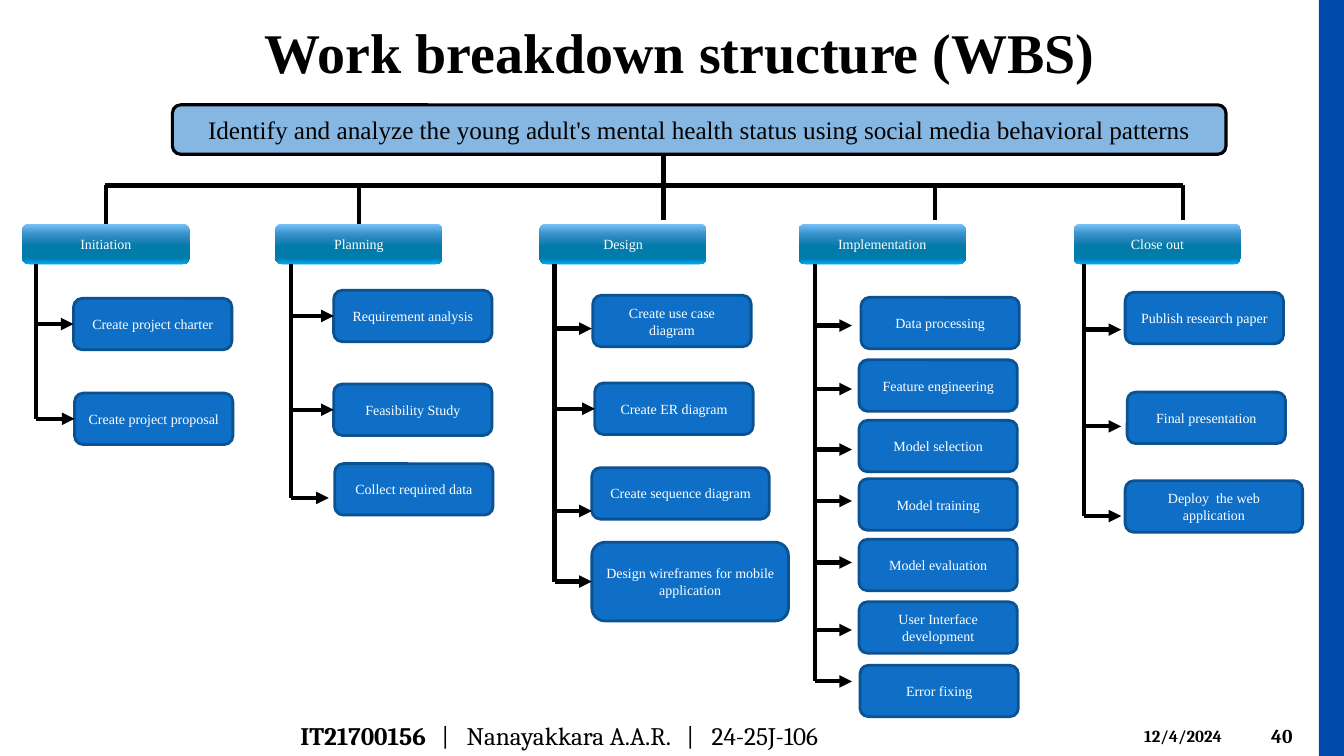
from dataclasses import dataclass
from typing import NamedTuple

from lxml import etree
from pptx import Presentation
from pptx.dml.color import RGBColor
from pptx.enum.shapes import MSO_CONNECTOR, MSO_SHAPE
from pptx.enum.text import MSO_ANCHOR, PP_ALIGN
from pptx.oxml.ns import qn
from pptx.util import Inches, Pt

RECTANGLE, ROUNDED = MSO_SHAPE.RECTANGLE, MSO_SHAPE.ROUNDED_RECTANGLE
STRAIGHT = MSO_CONNECTOR.STRAIGHT
LEFT, CENTER = PP_ALIGN.LEFT, PP_ALIGN.CENTER
MIDDLE = MSO_ANCHOR.MIDDLE
TOP_SIDE, LEFT_SIDE = 0, 1

SLIDE_WIDTH, SLIDE_HEIGHT = Inches(13.33), Inches(7.5)
COLUMNS, ROWS = 133.3, 75
JOIN_REACH = 0.6
ARROW_LENGTH = 3.7
PHASE_WIDTH, PHASE_HEIGHT = 16.6, 4
BUS_ROW, DROP_END = 18.4, 21.8


@dataclass(frozen=True)
class Theme:
    black: str = "000000"
    white: str = "FFFFFF"
    bar: str = "004AAD"
    task: str = "0F6FC6"
    task_edge: str = "0B5292"
    phase_stops: tuple = ((0, "7BC0F9"), (25, "3694CA"), (38, "2685BA"), (55, "007BAA"),
                          (80, "007AA9"), (88, "0080B2"), (100, "00ABFC"))
    body: str = "Times New Roman"
    footer: str = "Cambria"
    title_size: int = 40
    lead_size: int = 18
    number_size: int = 14
    date_size: int = 12
    box_size: int = 10
    banner_edge: float = 2.25
    task_edge_width: float = 2
    line_width: float = 3


THEME = Theme()


class Area(NamedTuple):
    left: float
    top: float
    width: float
    height: float


class Task(NamedTuple):
    label: str
    left: float
    top: float
    arrow: float
    width: float = 15.7
    height: float = 5.1


class Phase(NamedTuple):
    label: str
    left: float
    drop: float
    trunk: float
    tasks: tuple


PHASES = (
    Phase("Initiation", 2.2, 10.4, 3.6, (
        Task("Create project charter", 7.3, 29.6, 32.7),
        Task("Create project proposal", 7.4, 39, 41.1))),
    Phase("Planning", 27.3, 35.5, 28.9, (
        Task("Requirement analysis", 33.1, 28.8, 31.7),
        Task("Feasibility Study", 33.1, 38.1, 40.5),
        Task("Collect required data", 33.2, 46, 49.4))),
    Phase("Design", 53.5, 65.8, 55, (
        Task("Create use case diagram", 58.8, 29.3, 32.6),
        Task("Create ER diagram", 59, 38, 40.5),
        Task("Create sequence diagram", 58.7, 46.4, 50.7, 17.6),
        Task("Design wireframes for mobile application", 58.7, 53.8, 57.6, 19.5, 7.8))),
    Phase("Implementation", 79.2, 92.7, 80.8, (
        Task("Data processing", 85.4, 29.5, 32.3),
        Task("Feature engineering", 85.2, 35.7, 38.6),
        Task("Model selection", 85.2, 41.7, 44.6),
        Task("Model training", 85.2, 47.5, 49.7),
        Task("Model evaluation", 85.2, 53.5, 55.8),
        Task("User Interface development", 85.2, 59.7, 62.5),
        Task("Error fixing", 85.3, 66, 67.6))),
    Phase("Close out", 106.5, 117.3, 107.5, (
        Task("Publish research paper", 111.6, 29, 32.7),
        Task("Final presentation", 111.8, 38.9, 42.3),
        Task("Deploy  the web application", 111.6, 47.7, 51.2, 17.6))),
)


def across(columns: float) -> int:
    return round(SLIDE_WIDTH * columns / COLUMNS)


def down(rows: float) -> int:
    return round(SLIDE_HEIGHT * rows / ROWS)


def on_grid(area: Area) -> tuple:
    return across(area.left), down(area.top), across(area.width), down(area.height)


def write(paragraph, text: str, size: int, color: str, face: str = THEME.body, bold: bool = False) -> None:
    run = paragraph.add_run()
    run.text = text
    for attribute, value in {"name": face, "size": Pt(size), "bold": bold}.items():
        setattr(run.font, attribute, value)
    run.font.color.rgb = RGBColor.from_string(color)


def first_paragraph(shape, align=CENTER):
    """Set up the shape's text frame and return its opening paragraph."""
    frame = shape.text_frame
    for attribute, value in {"word_wrap": True, "vertical_anchor": MIDDLE}.items():
        setattr(frame, attribute, value)
    frame.paragraphs[0].alignment = align
    return frame.paragraphs[0]


def add_box(slide, area: Area, fill: str, kind=ROUNDED, edge: str = "", edge_width: float = 0):
    box = slide.shapes.add_shape(kind, *on_grid(area))
    box.shadow.inherit = False
    box.fill.solid()
    box.fill.fore_color.rgb = RGBColor.from_string(fill)
    if edge:
        box.line.color.rgb = RGBColor.from_string(edge)
        box.line.width = Pt(edge_width)
    else:
        box.line.fill.background()
    return box


def shade(box) -> None:
    """Give the box the phase gradient, running from top to bottom."""
    box.fill.gradient()
    box.fill.gradient_angle = 270
    stops = box._element.spPr.find(qn("a:gradFill")).find(qn("a:gsLst"))
    for stop in list(stops):
        stops.remove(stop)
    for percent, color in THEME.phase_stops:
        stop = etree.SubElement(stops, qn("a:gs"), pos=str(percent * 1000))
        etree.SubElement(stop, qn("a:srgbClr"), val=color)


def add_line(slide, x1: float, y1: float, x2: float, y2: float, arrow: bool = False):
    line = slide.shapes.add_connector(STRAIGHT, across(x1), down(y1), across(x2), down(y2))
    line.line.color.rgb = RGBColor.from_string(THEME.black)
    line.line.width = Pt(THEME.line_width)
    if arrow:
        etree.SubElement(line.line._get_or_add_ln(), qn("a:tailEnd"), type="triangle")
    etree.SubElement(line._element.spPr, qn("a:effectLst"))
    return line


def add_phase(slide, phase: Phase) -> None:
    heading = add_box(slide, Area(phase.left, 22.2, PHASE_WIDTH, PHASE_HEIGHT), THEME.task)
    shade(heading)
    write(first_paragraph(heading), phase.label, THEME.box_size, THEME.white)

    middle = phase.left + PHASE_WIDTH / 2
    joins = abs(phase.drop - middle) <= JOIN_REACH
    column = middle if joins else phase.drop
    drop = add_line(slide, column, BUS_ROW, column, DROP_END)
    if joins:
        drop.end_connect(heading, TOP_SIDE)

    row = BUS_ROW
    for task in phase.tasks:
        row = add_task(slide, task, phase.trunk)
    add_line(slide, phase.trunk, 26.2, phase.trunk, row)


def add_task(slide, task: Task, trunk: float) -> float:
    """Draw the task with its arrow and return the arrow's row."""
    area = Area(task.left, task.top, task.width, task.height)
    box = add_box(slide, area, THEME.task, edge=THEME.task_edge, edge_width=THEME.task_edge_width)
    write(first_paragraph(box), task.label, THEME.box_size, THEME.white)

    middle, tip = task.top + task.height / 2, trunk + ARROW_LENGTH
    joins = abs(task.arrow - middle) <= JOIN_REACH and abs(task.left - tip) <= JOIN_REACH
    row = middle if joins else task.arrow
    arrow = add_line(slide, trunk, row, tip, row, arrow=True)
    if joins:
        arrow.end_connect(box, LEFT_SIDE)
    return row


def add_footer(slide) -> None:
    author = first_paragraph(slide.shapes.add_textbox(*on_grid(Area(28.8, 71, 74.5, 4))), LEFT)
    tabs = etree.SubElement(author._p.get_or_add_pPr(), qn("a:tabLst"))
    for column in (14, 16.5, 38.3, 40.8):
        etree.SubElement(tabs, qn("a:tab"), pos=str(across(column)), algn="l")
    write(author, "IT21700156", THEME.lead_size, THEME.black, THEME.footer, True)
    write(author, "\t|\tNanayakkara A.A.R.\t|\t24-25J-106", THEME.lead_size, THEME.black, THEME.footer)
    for text, area, size in (("12/4/2024", Area(112.5, 71.5, 11.7, 3), THEME.date_size),
                             ("40", Area(125.1, 71, 7.4, 4), THEME.number_size)):
        note = first_paragraph(slide.shapes.add_textbox(*on_grid(area)), LEFT)
        write(note, text, size, THEME.black, THEME.footer, True)


def main() -> None:
    deck = Presentation()
    deck.slide_width, deck.slide_height = SLIDE_WIDTH, SLIDE_HEIGHT
    slide = deck.slides.add_slide(deck.slide_layouts[5])

    title = slide.shapes.title
    title.left, title.top, title.width, title.height = on_grid(Area(3.5, 0.2, 127.8, 8.7))
    heading = first_paragraph(title)
    for attribute, value in {"line_spacing": 1.16, "space_after": Pt(8)}.items():
        setattr(heading, attribute, value)
    write(heading, "Work breakdown structure (WBS)", THEME.title_size, THEME.black, bold=True)

    add_footer(slide)
    add_box(slide, Area(130.8, 0, 2.5, ROWS), THEME.bar, RECTANGLE)
    banner = add_box(slide, Area(17.1, 10.4, 104.5, 4.9), THEME.task,
                     edge=THEME.black, edge_width=THEME.banner_edge)
    tint = banner._element.spPr.find(qn("a:solidFill"))[0]
    etree.SubElement(tint, qn("a:alpha"), val="50000")
    write(first_paragraph(banner), "Identify and analyze the young adult's mental health status "
          "using social media behavioral patterns", THEME.lead_size, THEME.black)

    add_line(slide, 65.8, 15.4, 65.8, BUS_ROW)
    add_line(slide, PHASES[0].drop, BUS_ROW, PHASES[-1].drop, BUS_ROW)
    for phase in PHASES:
        add_phase(slide, phase)
    deck.save("out.pptx")


if __name__ == "__main__":
    main()
